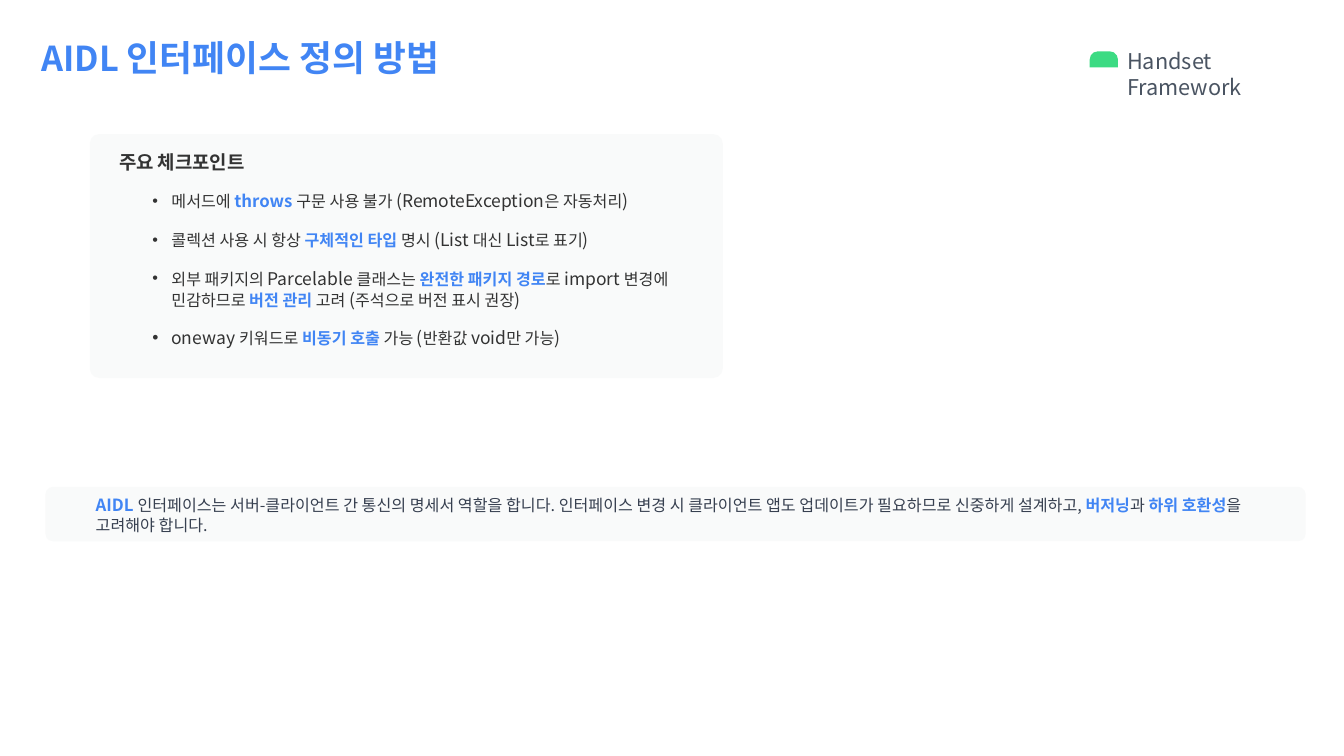
import dataclasses
import typing

import pptx
import pptx.dml.color
import pptx.enum.shapes
import pptx.enum.text
import pptx.oxml
import pptx.oxml.ns
import pptx.util

Shapes = pptx.enum.shapes.MSO_SHAPE
Text = pptx.enum.text


@dataclasses.dataclass(frozen=True)
class Theme:
    font: str = "Noto Sans CJK KR"
    blue: str = "4185F4"
    green: str = "3CDB83"
    card: str = "F9FAFA"
    dark: str = "333333"
    slate: str = "374050"
    gray: str = "4A5462"
    title: float = 25.5
    lead: float = 24.5
    brand: float = 15.5
    head: float = 13.5
    latin: float = 12.5
    mid: float = 12
    hangul: float = 11.5
    gap: float = 12.6


class Box(typing.NamedTuple):
    """Left, top, width and height in percent of the slide."""
    left: float
    top: float
    wide: float
    high: float


class Run(typing.NamedTuple):
    text: str
    size: float
    color: str
    bold: bool = False


class Panel(typing.NamedTuple):
    kind: int
    box: Box
    color: str
    round: float


LOOK = Theme()
deck = pptx.Presentation()
deck.slide_width = pptx.util.Inches(13.33)
deck.slide_height = pptx.util.Inches(7.5)
slide = deck.slides.add_slide(deck.slide_layouts[1])


def ko(text: str) -> Run:
    return Run(text, LOOK.hangul, LOOK.dark)


def en(text: str) -> Run:
    return Run(text, LOOK.latin, LOOK.dark)


def key(text: str, size: float = LOOK.hangul) -> Run:
    return Run(text, size, LOOK.blue, True)


def note(text: str) -> Run:
    return Run(text, LOOK.hangul, LOOK.slate)


def rgb(code: str) -> pptx.dml.color.RGBColor:
    return pptx.dml.color.RGBColor.from_string(code)


def scale(box: Box) -> list[int]:
    sides = (deck.slide_width, deck.slide_height) * 2
    return [round(part * side / 100) for part, side in zip(box, sides)]


def draw(panel: Panel) -> None:
    shape = slide.shapes.add_shape(panel.kind, *scale(panel.box))
    shape.adjustments[0] = panel.round
    shape.shadow.inherit = False
    shape.fill.solid()
    shape.fill.fore_color.rgb = rgb(panel.color)
    shape.line.fill.background()


def mark(para, bullet: bool) -> None:
    props = para._p.get_or_add_pPr()
    left, hang = (0.53, -0.19) if bullet else (0.01, 0)
    props.set("marL", str(pptx.util.Inches(left)))
    props.set("indent", str(pptx.util.Inches(hang)))
    item = pptx.oxml.ns.qn("a:buChar" if bullet else "a:buNone")
    node = props.makeelement(item, {"char": "•"} if bullet else {})
    props.append(node)


def write(shape, box: Box, paras: list[list[Run]], inset: float) -> None:
    shape.left, shape.top, shape.width, shape.height = scale(box)
    frame = shape.text_frame
    frame.word_wrap = True
    frame.auto_size = Text.MSO_AUTO_SIZE.NONE
    frame.vertical_anchor = Text.MSO_ANCHOR.TOP
    frame.margin_left = frame.margin_right = frame.margin_bottom = 0
    frame.margin_top = pptx.util.Inches(inset)
    for rank, runs in enumerate(paras):
        para = frame.add_paragraph() if rank else frame.paragraphs[0]
        mark(para, rank > 0)
        para.alignment = Text.PP_ALIGN.LEFT
        para.space_before = pptx.util.Pt(LOOK.gap if rank else 0)
        for part in runs:
            run = para.add_run()
            run.text = part.text
            font = run.font
            font.name = LOOK.font
            font.size = pptx.util.Pt(part.size)
            font.bold = part.bold
            font.color.rgb = rgb(part.color)
            # East Asian face for the Korean letters
            props = run._r.get_or_add_rPr()
            face = props.makeelement(
                pptx.oxml.ns.qn("a:ea"), {"typeface": LOOK.font})
            props.find(pptx.oxml.ns.qn("a:latin")).addnext(face)


def label(box: Box, runs: list[Run]) -> None:
    shape = slide.shapes.add_textbox(*scale(box))
    write(shape, box, [runs], 0.01)


def main() -> None:
    # Panels and the plain green badge
    for panel in (
        Panel(Shapes.ROUND_2_SAME_RECTANGLE, Box(81.08, 6.8, 2.1, 2.13),
              LOOK.green, 0.5),
        Panel(Shapes.ROUNDED_RECTANGLE, Box(6.68, 17.73, 47.1, 32.27),
              LOOK.card, 0.04),
        Panel(Shapes.ROUNDED_RECTANGLE, Box(3.38, 64.4, 93.77, 7.2),
              LOOK.card, 0.14),
    ):
        draw(panel)

    # Title
    write(slide.shapes.title, Box(3, 4.67, 44.6, 5.87), [[
        key("AIDL ", LOOK.lead), key("인터페이스 정의 방법", LOOK.title),
    ]], 0)

    # Checkpoints
    body = slide.placeholders[1]
    write(body, Box(8.78, 19.73, 43.14, 26.93), [
        [Run("주요 체크포인트", LOOK.head, LOOK.dark, True)],
        [ko("메서드에 "), key("throws ", LOOK.mid), ko("구문 사용 불가 "),
         en("(RemoteException"), ko("은 자동처리"), en(")")],
        [ko("콜렉션 사용 시 항상 "), key("구체적인 타입 "), ko("명시 "),
         en("(List "), ko("대신 "), en("List"), ko("로 표기"), en(")")],
        [ko("외부 패키지의 "), en("Parcelable "), ko("클래스는 "),
         key("완전한 패키지 경로"), ko("로 "), en("import "),
         ko("변경에 민감하므로 "), key("버전 관리 "), ko("고려 "),
         en("("), ko("주석으로 버전 표시 권장"), en(")")],
        [en("oneway "), ko("키워드로 "), key("비동기 호출 "), ko("가능 "),
         en("("), ko("반환값 "), en("void"), ko("만 가능"), en(")")],
    ], 0.01)
    # Card text stays above the panels
    slide.shapes._spTree.append(body._element)

    # Corner label and closing note
    label(Box(83.8, 6.13, 13.28, 7.2),
          [Run("Handset Framework", LOOK.brand, LOOK.gray)])
    label(Box(7.05, 65.33, 86.95, 5.47), [
        key("AIDL ", LOOK.mid),
        note("인터페이스는 서버-클라이언트 간 통신의 명세서 역할을 합니다. "
             "인터페이스 변경 시 클라이언트 앱도 업데이트가 필요하므로 "
             "신중하게 설계하고, "),
        key("버저닝"), note("과 "), key("하위 호환성"),
        note("을 고려해야 합니다."),
    ])
    deck.save("out.pptx")


if __name__ == "__main__":
    main()
